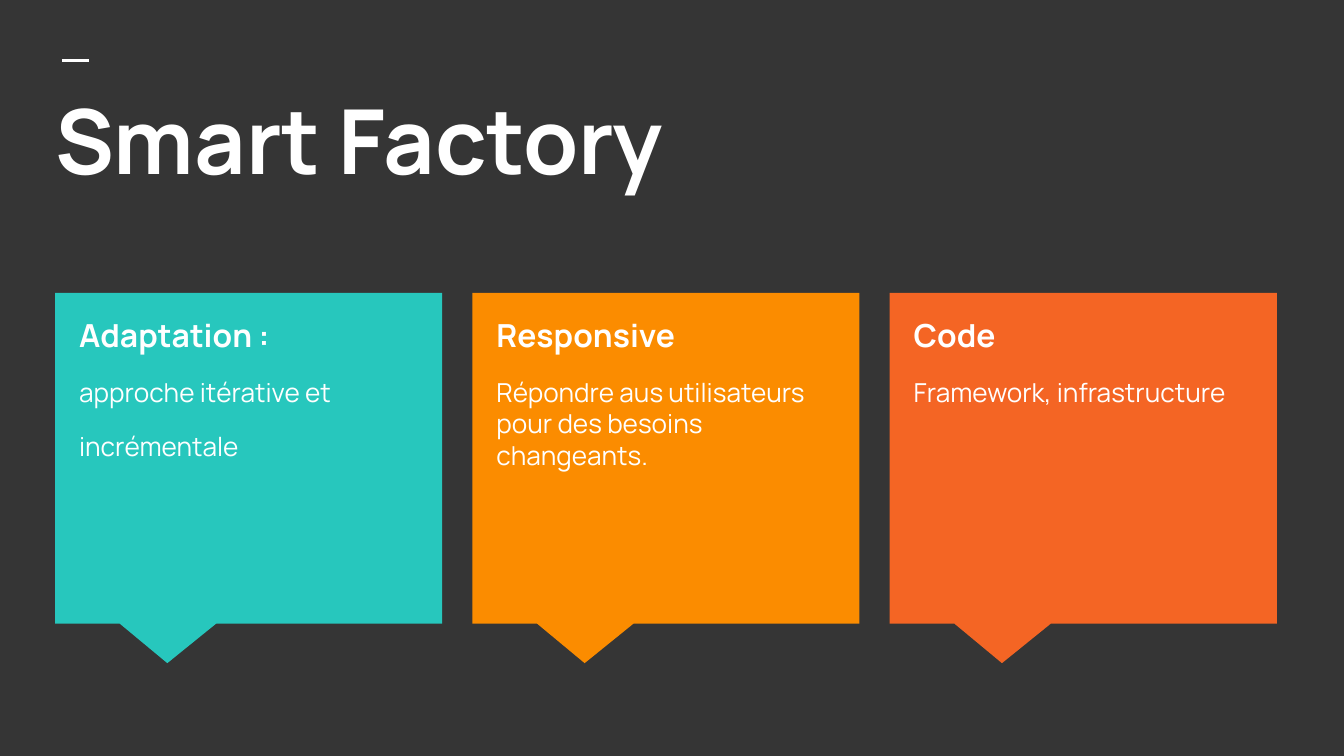
from pptx import Presentation
from pptx.dml.color import RGBColor
from pptx.enum.shapes import MSO_CONNECTOR, MSO_SHAPE
from pptx.enum.text import MSO_ANCHOR, MSO_AUTO_SIZE, PP_ALIGN
from pptx.oxml.ns import qn
from pptx.util import Inches, Pt

WHITE = RGBColor(0xFF, 0xFF, 0xFF)
CHARCOAL = RGBColor(0x35, 0x35, 0x35)
TEAL = RGBColor(0x27, 0xC7, 0xBD)
AMBER = RGBColor(0xFB, 0x8C, 0x00)
ORANGE = RGBColor(0xF4, 0x65, 0x24)

# Content
TITLE = "Smart Factory"
CARDS = [
    (TEAL, "Adaptation :", ["approche itérative et", "incrémentale"]),
    (AMBER, "Responsive",
     ["Répondre aus utilisateurs pour des besoins changeants."]),
    (ORANGE, "Code", ["Framework, infrastructure"]),
]

# Widescreen page and card grid, in inches
PAGE_WIDTH = 10
PAGE_HEIGHT = PAGE_WIDTH * 9 / 16
LEFT, RIGHT, TOP = 0.41, 9.5, 2.18
WIDTH, HEIGHT = 2.88, 2.46
PITCH = (RIGHT - LEFT - WIDTH) / (len(CARDS) - 1)
TEXT_INSET_X, TEXT_INSET_Y, TEXT_HEIGHT = 0.08, 0.07, 2.19
POINTER = (-0.21, 0.62)

HEADLINE = {"size": Pt(48), "bold": True}
HEADING = {"size": Pt(17), "bold": True}
BODY = {"size": Pt(14), "bold": False}
COMMON = {"name": "Manrope"}


def place(shape, left, top, width, height):
    shape.left, shape.top = Inches(left), Inches(top)
    shape.width, shape.height = Inches(width), Inches(height)


def write(shape, lines):
    """Fill a shape with (text, font values) paragraphs, top left."""
    frame = shape.text_frame
    settings = {"word_wrap": True, "auto_size": MSO_AUTO_SIZE.NONE,
                "vertical_anchor": MSO_ANCHOR.TOP}
    settings |= {f"margin_{side}": Inches(0.1)
                 for side in ("left", "top", "right", "bottom")}
    for name, value in settings.items():
        setattr(frame, name, value)
    for number, (text, font) in enumerate(lines):
        para = frame.add_paragraph() if number else frame.paragraphs[0]
        para.alignment = PP_ALIGN.LEFT
        para.line_spacing = 1.0
        para.space_before = Pt(12 if number else 0)
        para.space_after = Pt(0)
        span = para.add_run()
        span.text = text
        span.font.color.rgb = WHITE
        for name, value in (COMMON | font).items():
            setattr(span.font, name, value)


deck = Presentation()
deck.slide_width, deck.slide_height = Inches(PAGE_WIDTH), Inches(PAGE_HEIGHT)
page = deck.slides.add_slide(deck.slide_layouts[5])
page.background.fill.solid()
page.background.fill.fore_color.rgb = CHARCOAL

# Accent line and title
accent = page.shapes.add_connector(
    MSO_CONNECTOR.STRAIGHT,
    Inches(0.46), Inches(0.45), Inches(0.66), Inches(0.45))
accent.line.color.rgb = WHITE
accent.line.width = Pt(1.5)
properties = accent._element.spPr
properties.append(properties.makeelement(qn("a:effectLst"), {}))

title = page.shapes.title
place(title, 0.31, 0.53, 9.43, 1.12)
write(title, [(TITLE, HEADLINE)])

# Callout cards with their text
for column, (color, heading, body) in enumerate(CARDS):
    left = LEFT + column * PITCH
    card = page.shapes.add_shape(
        MSO_SHAPE.RECTANGULAR_CALLOUT,
        Inches(left), Inches(TOP), Inches(WIDTH), Inches(HEIGHT))
    card.adjustments[0], card.adjustments[1] = POINTER
    card.shadow.inherit = False
    card.fill.solid()
    card.fill.fore_color.rgb = color
    card.line.fill.background()

    box = page.shapes.add_textbox(0, 0, 0, 0)
    place(box, left + TEXT_INSET_X, TOP + TEXT_INSET_Y,
          WIDTH - 2 * TEXT_INSET_X, TEXT_HEIGHT)
    write(box, [(heading, HEADING)] + [(line, BODY) for line in body])

deck.save("out.pptx")
